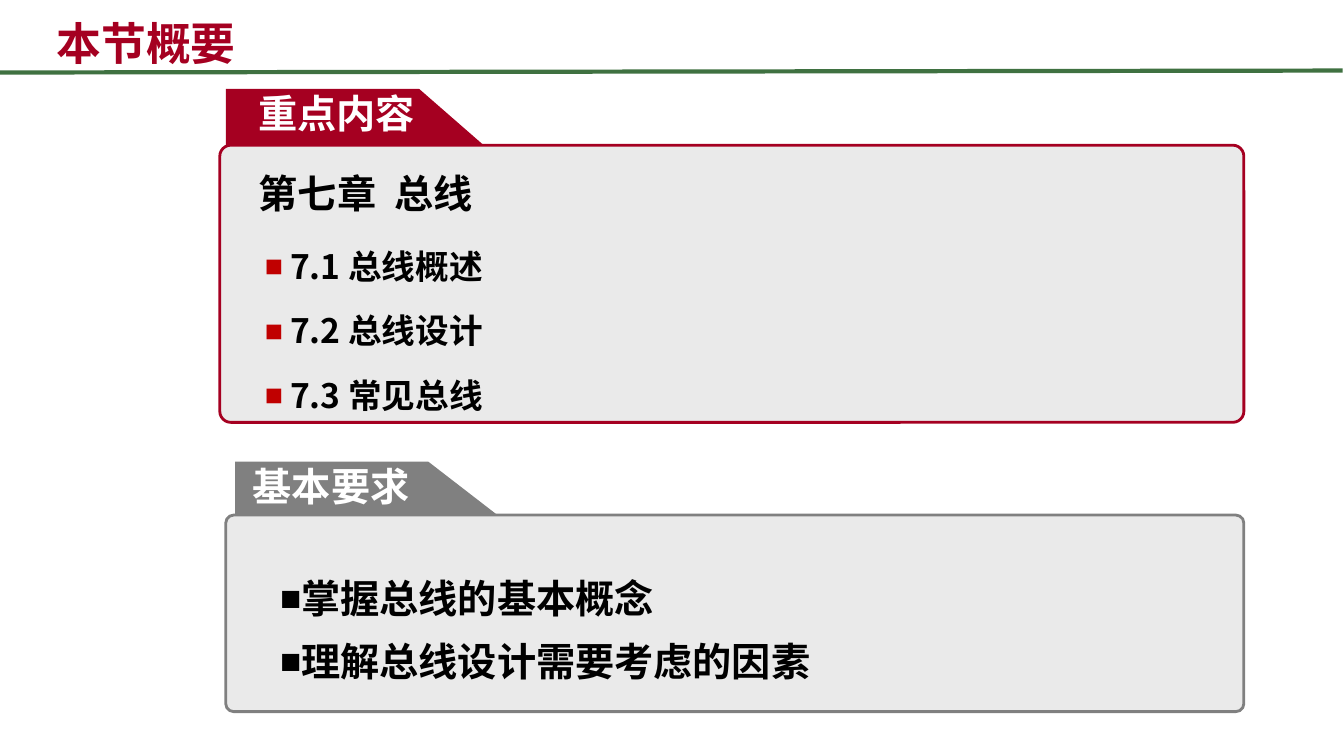
from pptx import Presentation
from pptx.dml.color import RGBColor
from pptx.enum.shapes import MSO_CONNECTOR, MSO_SHAPE
from pptx.enum.text import MSO_ANCHOR, PP_ALIGN
from pptx.oxml.ns import qn
from pptx.util import Pt
from lxml.etree import SubElement

RED, GRAY, PANEL, GREEN = "A50021", "808080", "EAEAEA", "3F7141"
WHITE, BLACK, BULLET_RED = "FFFFFF", "000000", "C00000"
SANS_SC, SANS_JP = "Noto Sans CJK SC", "Noto Sans CJK JP"


def color(value):
    return RGBColor.from_string(value)


def add_rule(page):
    rule = page.shapes.add_connector(
        MSO_CONNECTOR.STRAIGHT, Pt(0), Pt(51.8), Pt(959), Pt(50.4))
    rule.line.color.rgb = color(GREEN)
    rule.line.width = Pt(3)
    SubElement(rule._element.spPr, qn("a:effectLst"))


def add_tab(page, left, top, height, fill):
    """Draw a heading tab whose right edge slopes outwards."""
    builder = page.shapes.build_freeform(Pt(left), Pt(top))
    builder.add_line_segments([
        (Pt(left + 138), Pt(top)),
        (Pt(left + 193), Pt(top + height)),
        (Pt(left), Pt(top + height)),
    ])
    tab = builder.convert_to_shape()
    tab.shadow.inherit = False
    tab.fill.solid()
    tab.fill.fore_color.rgb = color(fill)
    tab.line.fill.background()


def add_panel(page, left, top, width, height, outline):
    panel = page.shapes.add_shape(
        MSO_SHAPE.ROUNDED_RECTANGLE, Pt(left), Pt(top), Pt(width), Pt(height))
    panel.adjustments[0] = 0.04
    panel.shadow.inherit = False
    panel.fill.solid()
    panel.fill.fore_color.rgb = color(PANEL)
    panel.line.color.rgb = color(outline)
    panel.line.width = Pt(2)


def add_text(page, place, lines, size, font, ink=BLACK,
             anchor=MSO_ANCHOR.TOP, align=PP_ALIGN.LEFT):
    """Add a bold text box, one paragraph for each line."""
    box = page.shapes.add_textbox(*map(Pt, place))
    frame = box.text_frame
    frame.word_wrap = True
    frame.vertical_anchor = anchor
    frame.text = "\n".join(lines)
    for paragraph in frame.paragraphs:
        paragraph.alignment = align
        for span in paragraph.runs:
            span.font.size = Pt(size)
            span.font.bold = True
            span.font.name = font
            span.font.color.rgb = color(ink)
            SubElement(span._r.get_or_add_rPr(), qn("a:ea"), typeface=font)
    return frame


def add_bullets(frame, spacing, gap, ink, margin=0, hanging=0):
    """Give every paragraph a square bullet and set the line spacing."""
    for index, paragraph in enumerate(frame.paragraphs):
        paragraph.line_spacing = spacing
        if index:
            paragraph.space_before = Pt(gap)
        properties = paragraph._p.get_or_add_pPr()
        properties.set("marL", str(Pt(margin)))
        properties.set("indent", str(Pt(-hanging)))
        bullet_color = SubElement(properties, qn("a:buClr"))
        SubElement(bullet_color, qn("a:srgbClr"), val=ink)
        SubElement(properties, qn("a:buSzPct"), val="90000")
        SubElement(properties, qn("a:buFont"), typeface="Arial")
        SubElement(properties, qn("a:buChar"), char="■")


def main():
    deck = Presentation()
    deck.slide_width, deck.slide_height = Pt(960), Pt(540)
    page = deck.slides.add_slide(deck.slide_layouts[6])

    add_rule(page)
    add_text(page, (26, 0, 232.5, 53.3), [" 本节概要"], 32, SANS_SC, RED,
             anchor=MSO_ANCHOR.BOTTOM)

    add_tab(page, 161.3, 63.4, 48, RED)
    add_text(page, (171.4, 60.5, 138, 41), ["重点内容"], 28, "Arial", WHITE,
             align=PP_ALIGN.CENTER)
    add_panel(page, 157, 103.7, 731.5, 198, RED)

    add_tab(page, 168, 329.8, 42.5, GRAY)
    add_text(page, (173.5, 326.9, 127, 41), ["基本要求"], 28, "Arial", WHITE)
    add_panel(page, 161.3, 367.9, 727.2, 140.4, GRAY)

    add_text(page, (177.8, 117.4, 492, 77), ["第七章  总线"], 28, SANS_SC)
    sections = add_text(page, (164.2, 157.7, 551, 144),
                        ["7.1 总线概述", "7.2 总线设计", "7.3 常见总线"],
                        24, SANS_SC)
    add_bullets(sections, 1.5, 2.9, BULLET_RED, margin=36, hanging=18)
    goals = add_text(page, (193, 396.7, 582, 93.6),
                     ["掌握总线的基本概念", "理解总线设计需要考虑的因素"],
                     28, SANS_JP)
    add_bullets(goals, 1.3, 1.6, BLACK)

    deck.save("out.pptx")


if __name__ == "__main__":
    main()
